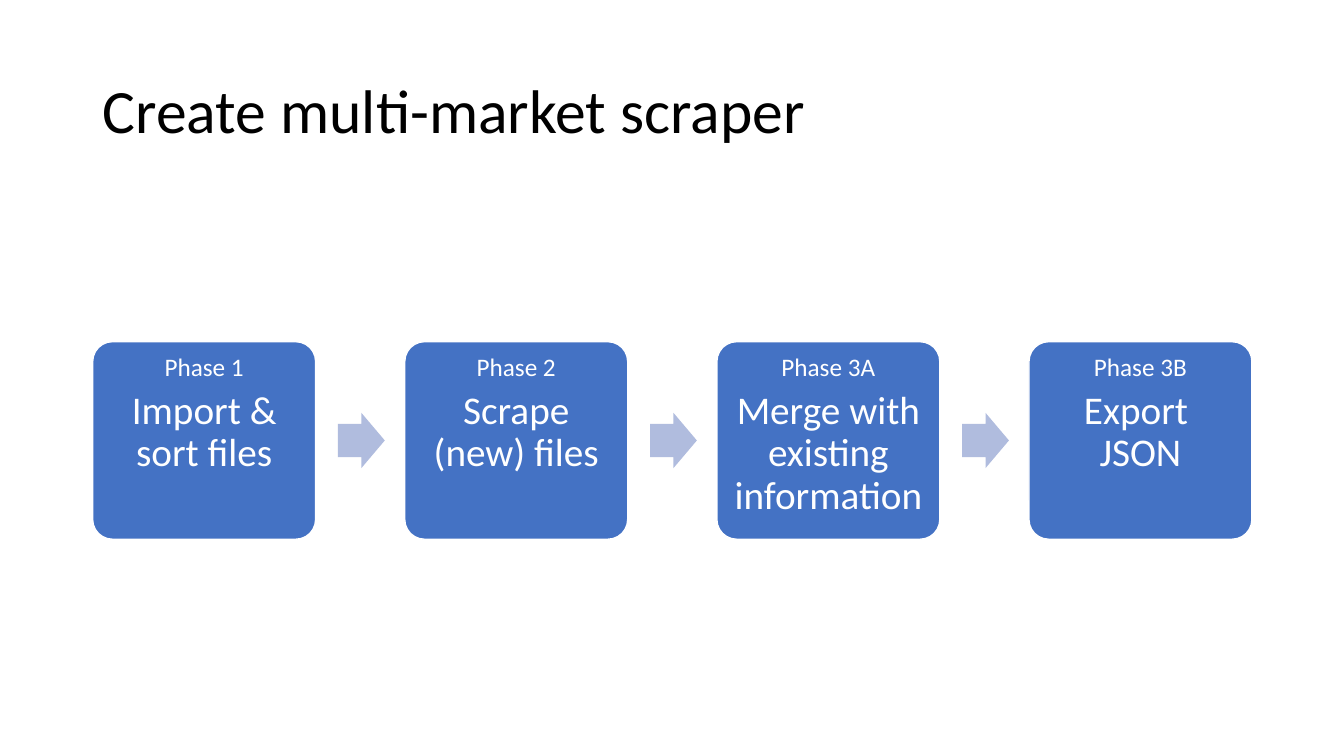
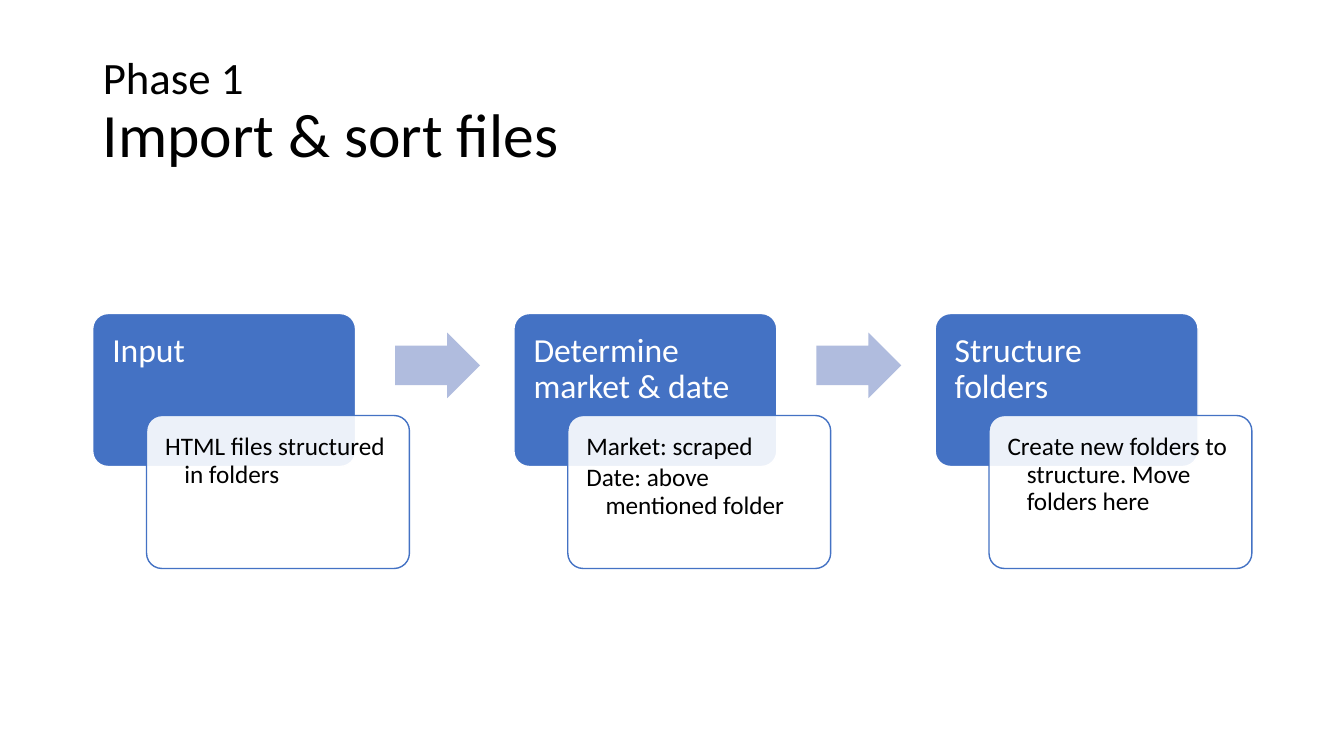
from collections import namedtuple

from lxml.etree import SubElement
from pptx import Presentation
from pptx.dml.color import RGBColor
from pptx.enum.shapes import MSO_SHAPE as Preset
from pptx.enum.text import MSO_ANCHOR as Anchor, MSO_AUTO_SIZE as AutoSize, PP_ALIGN as Align
from pptx.oxml.ns import qn
from pptx.util import Inches, Pt

BLUE = RGBColor(0x44, 0x72, 0xC4)
PALE_BLUE = RGBColor(0xB0, 0xBC, 0xDE)
WHITE = RGBColor(0xFF, 0xFF, 0xFF)
BLACK = RGBColor(0x00, 0x00, 0x00)
FONT = "Calibri"
LEFT, WIDTH = 6.9, 86.25
HANGING = Inches(0.19)

PHASES = [
    ("Phase 1", "Import & sort files"),
    ("Phase 2", "Scrape (new) files"),
    ("Phase 3A", "Merge with existing information"),
    ("Phase 3B", "Export \vJSON"),
]
STEPS = [
    ("Input", ["HTML files structured in folders"]),
    ("Determine market & date", ["Market: scraped", "Date: above mentioned folder"]),
    ("Structure folders", ["Create new folders to structure. Move folders here"]),
]


class Box(namedtuple("Box", "left top width height")):
    """A rectangle whose inner boxes are given in percent of its size."""

    def inner(self, left, top, width, height):
        """Return the box at the given percentages of this one."""
        return Box(
            round(self.left + self.width * left / 100),
            round(self.top + self.height * top / 100),
            round(self.width * width / 100),
            round(self.height * height / 100),
        )

    def columns(self, count, gap):
        """Split into equal columns, with gaps in percent of a column."""
        share = 100 / (count + (count - 1) * gap / 100)
        pitch = share * (1 + gap / 100)
        return [self.inner(index * pitch, 0, share, 100) for index in range(count)]


def add_preset(slide, preset, box, fill, line=None, adjustments=(0.1,)):
    """Add a flat preset shape with the given fill and outline."""
    shape = slide.shapes.add_shape(preset, *box)
    shape.shadow.inherit = False
    shape.fill.solid()
    shape.fill.fore_color.rgb = fill
    if line is None:
        shape.line.fill.background()
    else:
        shape.line.color.rgb = line
        shape.line.width = Pt(1)
    for index, value in enumerate(adjustments):
        shape.adjustments[index] = value
    return shape


def add_arrow(slide, box):
    """Add the pale arrow that leads to the next card."""
    add_preset(slide, Preset.RIGHT_ARROW, box, PALE_BLUE, adjustments=(0.6, 0.5))


def write_lines(shape, lines, color, margin, align=Align.LEFT, spacing=0.35):
    """Fill a shape with paragraphs given as pairs of text and size."""
    frame = shape.text_frame
    frame.word_wrap = True
    frame.vertical_anchor = Anchor.TOP
    frame.margin_left = frame.margin_right = Inches(margin)
    frame.margin_top = frame.margin_bottom = Inches(margin)
    for index, (text, size) in enumerate(lines):
        paragraph = frame.add_paragraph() if index else frame.paragraphs[0]
        paragraph.text = text
        paragraph.alignment = align
        paragraph.line_spacing = 0.9
        paragraph.space_after = Pt(round(size * spacing, 1))
        paragraph.font.name = FONT
        paragraph.font.size = Pt(size)
        paragraph.font.color.rgb = color


def add_phase(slide, box, label, task):
    """Place a card with a phase label above its task."""
    card = add_preset(slide, Preset.ROUNDED_RECTANGLE, box, BLUE, WHITE)
    write_lines(card, [(label, 18), (task, 28)], WHITE, 0.07, Align.CENTER)


def add_step(slide, box, heading, details):
    """Place a heading card with a translucent detail card over its corner."""
    card = add_preset(slide, Preset.ROUNDED_RECTANGLE, box.inner(0, 0, 83, 60), BLUE, WHITE)
    write_lines(card, [(heading, 24)], WHITE, 0.15)

    detail = add_preset(slide, Preset.ROUNDED_RECTANGLE, box.inner(17, 40, 83, 60), WHITE, BLUE)
    color = detail._element.spPr.find(qn("a:solidFill"))[0]
    SubElement(color, qn("a:alpha")).set("val", "90000")
    write_lines(detail, [(text, 18) for text in details], BLACK, 0.14, spacing=0.15)
    for paragraph in detail.text_frame.paragraphs:
        properties = paragraph._p.get_or_add_pPr()
        properties.set("marL", str(HANGING))
        properties.set("indent", str(-HANGING))


def add_flow(slide, band, items, gap, add_card, arrow):
    """Lay out cards in equal columns with an arrow between neighbours."""
    columns = band.columns(len(items), gap)
    for index, (column, item) in enumerate(zip(columns, items)):
        add_card(slide, column, *item)
        if index < len(items) - 1:
            add_arrow(slide, column.inner(*arrow))


def add_titled_slide(presentation, layout, title, label=None):
    """Add a slide with a left-aligned title under an optional smaller label."""
    slide = presentation.slides.add_slide(layout)
    frame = slide.shapes.title.text_frame
    frame.auto_size = AutoSize.NONE
    frame.vertical_anchor = Anchor.MIDDLE
    paragraph = frame.paragraphs[0]
    paragraph.alignment = Align.LEFT
    paragraph.line_spacing = 0.9
    paragraph.font.name = FONT
    paragraph.font.size = Pt(44)
    paragraph.font.color.rgb = BLACK
    if label:
        run = paragraph.add_run()
        run.text = label
        run.font.size = Pt(32)
        paragraph.add_line_break()
    paragraph.add_run().text = title
    return slide


def main():
    """Build and save the presentation."""
    presentation = Presentation()
    presentation.slide_width = Inches(13.33)
    presentation.slide_height = Inches(7.5)
    page = Box(0, 0, presentation.slide_width, presentation.slide_height)

    layout = presentation.slide_layouts.get_by_name("Title Only")
    title = layout.placeholders[0]
    title.left, title.top, title.width, title.height = page.inner(LEFT, 5.33, WIDTH, 19.33)

    overview = add_titled_slide(presentation, layout, "Create multi-market scraper")
    add_flow(overview, page.inner(LEFT, 45.2, WIDTH, 26.13), PHASES, 40,
             add_phase, (110, 36, 21, 28))

    first_phase = add_titled_slide(presentation, layout, "Import & sort files", "Phase 1")
    add_flow(first_phase, page.inner(LEFT, 41.47, WIDTH, 33.73), STEPS, 33,
             add_step, (95.5, 7.5, 26.8, 25.7))

    presentation.save("out.pptx")


if __name__ == "__main__":
    main()
